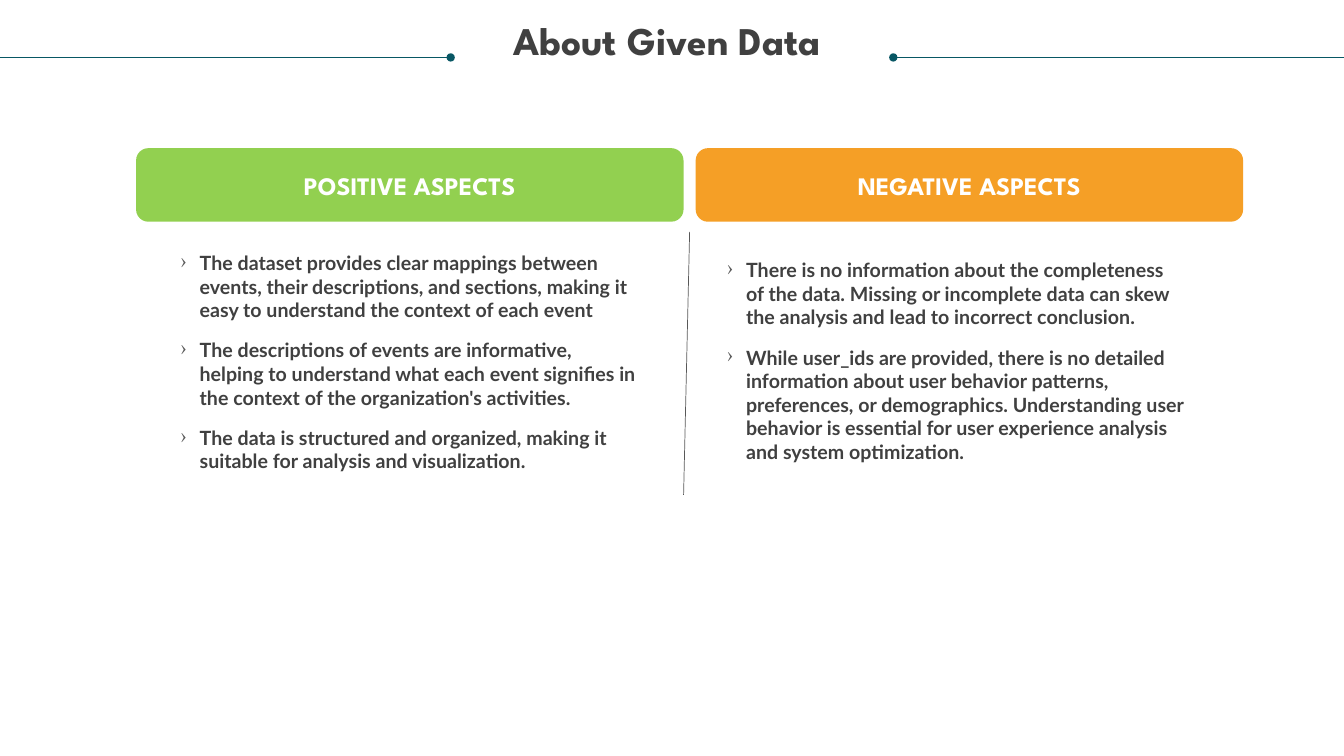
from lxml import etree
from pptx import Presentation
from pptx.dml.color import RGBColor
from pptx.enum.shapes import MSO_CONNECTOR, MSO_SHAPE
from pptx.enum.text import MSO_ANCHOR, PP_ALIGN
from pptx.oxml.ns import qn
from pptx.util import Inches, Pt

STRAIGHT = MSO_CONNECTOR.STRAIGHT
ROUNDED = MSO_SHAPE.ROUNDED_RECTANGLE
CENTER = PP_ALIGN.CENTER
MIDDLE = MSO_ANCHOR.MIDDLE

THEME = {
    "heading_font": "League Spartan", "body_font": "Lato",
    "title_size": 28, "header_size": 18, "body_size": 14, "rule_width": 0.5,
    "text": "404040", "white": "FFFFFF", "teal": "085764", "grey": "585858",
    "positive": "92D050", "negative": "F59F26",
}

# Grid, in inches
SLIDE_W, SLIDE_H = 13.33, 7.5
RULE_Y, RULE_LENGTH = 0.57, 4.47
COLUMN_LEFT, COLUMN_W, COLUMN_GAP = 1.35, 5.43, 0.12
HEADER_TOP, HEADER_H = 1.47, 0.73
LIST_W, BULLET_INDENT = 4.55, 0.19


def style_text(paragraph, font, size, color):
    paragraph.font.name = THEME[font]
    paragraph.font.size = Pt(THEME[size])
    paragraph.font.bold = True
    paragraph.font.color.rgb = RGBColor.from_string(THEME[color])


def add_rule(start, end, color, dotted_end=False):
    rule = slide.shapes.add_connector(STRAIGHT, *map(Inches, start + end))
    rule.line.width = Pt(THEME["rule_width"])
    rule.line.color.rgb = RGBColor.from_string(THEME[color])
    if dotted_end:
        etree.SubElement(rule.line._get_or_add_ln(), qn("a:tailEnd"), type="oval")
    etree.SubElement(rule._element.spPr, qn("a:effectLst"))


prs = Presentation()
prs.slide_width, prs.slide_height = Inches(SLIDE_W), Inches(SLIDE_H)
slide = prs.slides.add_slide(prs.slide_layouts[6])

# Title between two rules that run in from the slide edges
for edge, dot in ((0, RULE_LENGTH), (SLIDE_W, SLIDE_W - RULE_LENGTH)):
    add_rule((edge, RULE_Y), (dot, RULE_Y), "teal", dotted_end=True)

title = slide.shapes.add_textbox(*map(Inches, (0.2, 0.21, SLIDE_W - 0.5, 0.73))).text_frame
title.word_wrap = True
title.margin_left = title.margin_right = title.margin_top = title.margin_bottom = 0
title.text = "About Given Data"
title.paragraphs[0].alignment = CENTER
title.paragraphs[0].line_spacing = 0.9
style_text(title.paragraphs[0], "heading_font", "title_size", "text")

# Aspect columns: heading, colour, list position and size, points
aspects = [
    ("POSITIVE ASPECTS", "positive", (1.79, 2.49, LIST_W, 2.63), [
        "The dataset provides clear mappings between events, their descriptions, "
        "and sections, making it easy to understand the context of each event",
        "The descriptions of events are informative, helping to understand what "
        "each event signifies in the context of the organization's activities.",
        "The data is structured and organized, making it suitable for analysis "
        "and visualization.",
    ]),
    ("NEGATIVE ASPECTS", "negative", (7.21, 2.56, LIST_W, 2.05), [
        "There is no information about the completeness of the data. Missing or "
        "incomplete data can skew the analysis and lead to incorrect conclusion.",
        "While user_ids are provided, there is no detailed information about user "
        "behavior patterns, preferences, or demographics. Understanding user "
        "behavior is essential for user experience analysis and system optimization.",
    ]),
]

for column, (heading, color, list_box, points) in enumerate(aspects):
    # Coloured header
    left = COLUMN_LEFT + column * (COLUMN_W + COLUMN_GAP)
    header = slide.shapes.add_shape(
        ROUNDED, *map(Inches, (left, HEADER_TOP, COLUMN_W, HEADER_H)))
    header.shadow.inherit = False
    header.fill.solid()
    header.fill.fore_color.rgb = RGBColor.from_string(THEME[color])
    header.line.fill.background()
    header.text_frame.text = heading
    header.text_frame.vertical_anchor = MIDDLE
    header.text_frame.paragraphs[0].alignment = CENTER
    style_text(header.text_frame.paragraphs[0], "heading_font", "header_size", "white")

    # Bulleted points
    body = slide.shapes.add_textbox(*map(Inches, list_box)).text_frame
    body.word_wrap = True
    body.margin_left = body.margin_right = body.margin_top = body.margin_bottom = 0
    body.text = "\n".join(points)
    for point in body.paragraphs:
        point.space_before = Pt(12)
        style_text(point, "body_font", "body_size", "text")
        properties = point._p.get_or_add_pPr()
        properties.set("marL", str(Inches(BULLET_INDENT)))
        properties.set("indent", str(-Inches(BULLET_INDENT)))
        bullet_color = etree.Element(qn("a:buClr"))
        etree.SubElement(bullet_color, qn("a:srgbClr"), val=THEME["grey"])
        bullet = etree.Element(qn("a:buChar"), char="›")
        run_defaults = properties.find(qn("a:defRPr"))
        run_defaults.addprevious(bullet_color)
        run_defaults.addprevious(bullet)

# Divider between the columns
add_rule((6.84, 2.3), (6.78, 4.91), "grey")

prs.save("out.pptx")
